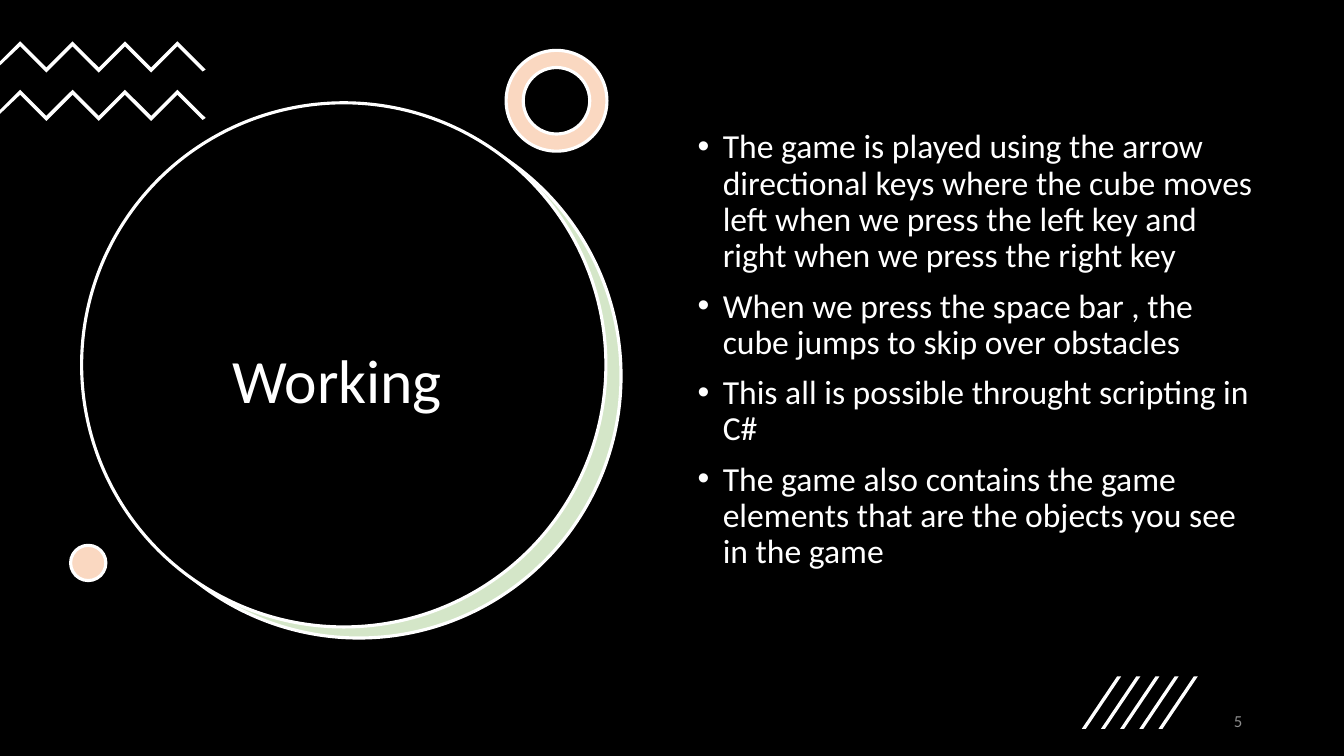
from pptx import Presentation
from pptx.dml.color import RGBColor
from pptx.enum.shapes import MSO_SHAPE
from pptx.enum.text import MSO_ANCHOR, PP_ALIGN
from pptx.oxml.ns import qn
from pptx.util import Inches, Pt
from lxml.etree import SubElement

WHITE, BLACK, GREEN, PEACH, GRAY = "FFFFFF", "000000", "D4E6C8", "FAD8C1", "8C8C8C"
POINTS = [
    "The game is played using the arrow directional keys where the cube moves "
    "left when we press the left key and right when we press the right key",
    "When we press the space bar , the cube jumps to skip over obstacles",
    "This all is possible throught scripting in C#",
    "The game also contains the game elements that are the objects you see in the game",
]


def paint(fill, color):
    """Give a fill a solid colour."""
    fill.solid()
    fill.fore_color.rgb = RGBColor.from_string(color)


def add_preset(page, kind, left, top, width, height, color, line=None):
    """Add a filled preset shape with an optional outline."""
    shape = page.shapes.add_shape(
        kind, Inches(left), Inches(top), Inches(width), Inches(height))
    shape.shadow.inherit = False
    paint(shape.fill, color)
    if line:
        paint(shape.line.fill, line)
        shape.line.width = Pt(2.25)
    else:
        shape.line.fill.background()
    return shape


def add_round(page, left, top, size, color, kind=MSO_SHAPE.OVAL):
    """Add a white-edged circle or ring."""
    return add_preset(page, kind, left, top, size, size, color, line=WHITE)


def add_outline(group, corners):
    """Add a white closed polygon to a group."""
    start, *others = [(Inches(x), Inches(y)) for x, y in corners]
    builder = group.shapes.build_freeform(*start)
    builder.add_line_segments(others, close=True)
    shape = builder.convert_to_shape()
    shape.shadow.inherit = False
    paint(shape.fill, WHITE)
    shape.line.fill.background()


def add_zigzag(group, top):
    """Add a zigzag band that starts at the left edge."""
    ridge = [(0.2 + 0.26 * i, top + 0.26 * (i % 2)) for i in range(7)]
    lower = [(x, y + 0.05) for x, y in reversed(ridge)]
    tip = [(2.04, top + 0.28), (2.01, top + 0.3)]
    add_outline(group, ridge + tip + lower + [(0, top + 0.24), (0, top + 0.2)])


def add_slash(group, left):
    """Add one slanted stroke."""
    add_outline(group, [(left + 0.04, 7.23), (left, 7.23),
                        (left + 0.35, 6.71), (left + 0.39, 6.71)])


def place(box, left, top, width, height, anchor):
    """Set the position, wrapping and anchor of a text shape."""
    box.left, box.top = Inches(left), Inches(top)
    box.width, box.height = Inches(width), Inches(height)
    box.text_frame.word_wrap = True
    box.text_frame.vertical_anchor = anchor


def write(para, text, size, color=WHITE, align=PP_ALIGN.LEFT, spacing=1.0,
          before=0, bullet=False):
    """Fill a paragraph with formatted text."""
    if bullet:
        properties = para._p.get_or_add_pPr()
        properties.set("marL", str(Inches(0.25)))
        properties.set("indent", str(-Inches(0.25)))
        SubElement(properties, qn("a:buFont"), typeface="Arial")
        SubElement(properties, qn("a:buChar"), char="•")
    para.alignment = align
    para.line_spacing = spacing
    para.space_before = Pt(before)
    span = para.add_run()
    span.text = text
    span.font.name = "Calibri"
    span.font.size = Pt(size)
    span.font.color.rgb = RGBColor.from_string(color)


def add_text_box(page, left, top, width, height, anchor):
    """Add an empty text box and return its text frame."""
    box = page.shapes.add_textbox(0, 0, 0, 0)
    place(box, left, top, width, height, anchor)
    return box.text_frame


def main():
    """Build the slide and save it."""
    deck = Presentation()
    deck.slide_width, deck.slide_height = Inches(13.33), Inches(7.5)
    page = deck.slides.add_slide(deck.slide_layouts[5])

    add_preset(page, MSO_SHAPE.RECTANGLE, 0, 0, 13.33, 7.5, BLACK)
    add_round(page, 0.96, 1.13, 5.2, GREEN)
    disc = add_round(page, 0.81, 1.02, 5.2, BLACK)

    title = page.shapes.title
    place(title, 1.21, 2.05, 4.41, 3.52, MSO_ANCHOR.MIDDLE)
    write(title.text_frame.paragraphs[0], "Working ", 44,
          align=PP_ALIGN.CENTER, spacing=0.9)
    disc._element.addnext(title._element)

    zigzags = page.shapes.add_group_shape()
    for top in (0.41, 0.89):
        add_zigzag(zigzags, top)

    ring = add_round(page, 5.02, 0.5, 1, PEACH, kind=MSO_SHAPE.DONUT)
    ring.adjustments[0] = 0.17
    add_round(page, 0.7, 5.41, 0.35, PEACH)

    body = add_text_box(page, 6.82, 1.24, 5.71, 4.76, MSO_ANCHOR.TOP)
    for index, point in enumerate(POINTS):
        para = body.add_paragraph() if index else body.paragraphs[0]
        write(para, point, 24, spacing=0.9, before=10 if index else 0, bullet=True)

    slashes = page.shapes.add_group_shape()
    for index in range(5):
        add_slash(slashes, 10.73 + 0.19 * index)

    number = add_text_box(page, 9.42, 6.95, 3, 0.4, MSO_ANCHOR.MIDDLE)
    write(number.paragraphs[0], "5", 12, color=GRAY, align=PP_ALIGN.RIGHT)

    deck.save("out.pptx")


if __name__ == "__main__":
    main()
